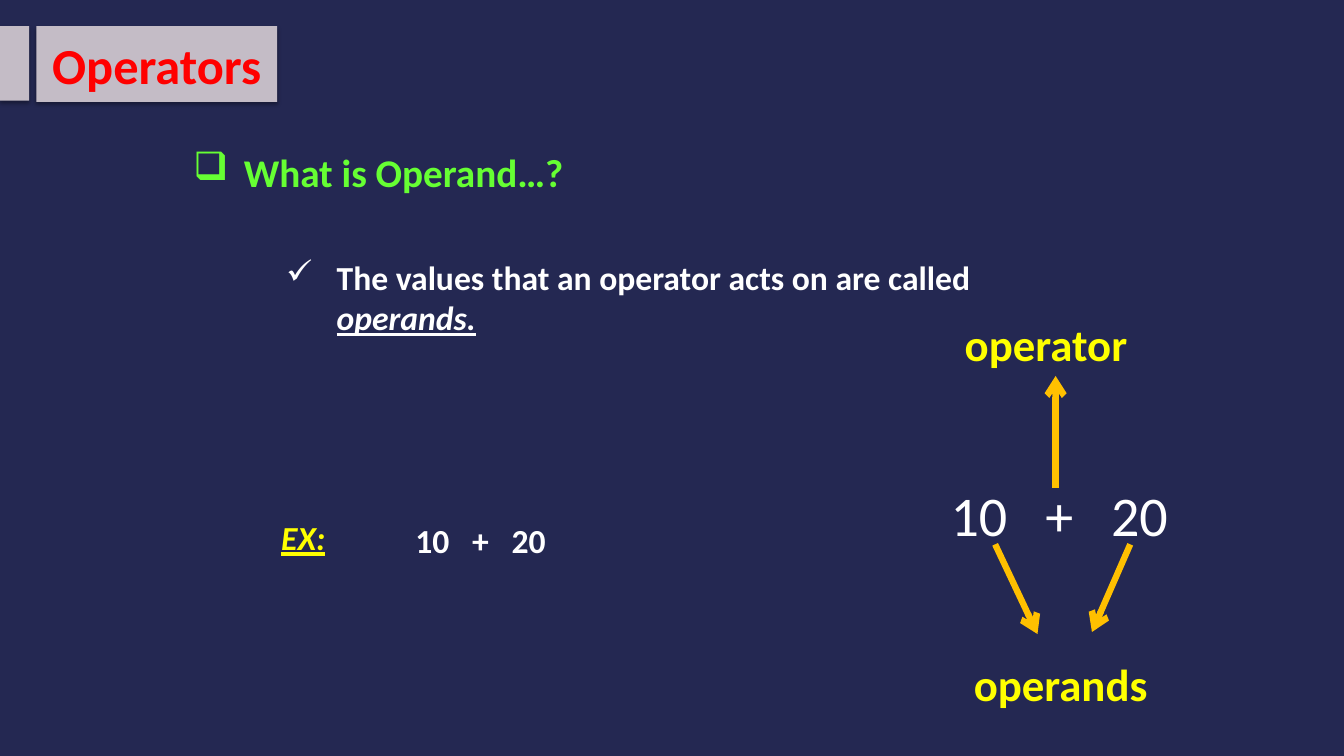
from pptx import Presentation
from pptx.dml.color import RGBColor
from pptx.enum.shapes import MSO_CONNECTOR, MSO_SHAPE
from pptx.enum.text import MSO_ANCHOR, MSO_AUTO_SIZE, PP_ALIGN
from pptx.oxml.ns import qn
from pptx.util import Inches, Pt
from lxml import etree

RECTANGLE = MSO_SHAPE.RECTANGLE
STRAIGHT = MSO_CONNECTOR.STRAIGHT
MIDDLE = MSO_ANCHOR.MIDDLE
CENTER = PP_ALIGN.CENTER
GROW = MSO_AUTO_SIZE.SHAPE_TO_FIT_TEXT
BOTTOM_SIDE = 2

NAVY = RGBColor(0x24, 0x28, 0x52)
MAUVE = RGBColor(0xC4, 0xBC, 0xC6)
RED = RGBColor(0xFF, 0x00, 0x00)
GREEN = RGBColor(0x66, 0xFF, 0x33)
YELLOW = RGBColor(0xFF, 0xFF, 0x00)
AMBER = RGBColor(0xFF, 0xC0, 0x00)
WHITE = RGBColor(0xFF, 0xFF, 0xFF)
BLACK = RGBColor(0x00, 0x00, 0x00)


def style(span, size, color, bold=True, emphasis=False):
    font = span.font
    font.name = "Calibri"
    font.size = Pt(size)
    font.color.rgb = color
    font.bold = bold
    if emphasis:
        font.italic = True
        font.underline = True


def add_panel(page, left, top, width, height):
    """Filled rectangle with a soft shadow below it."""
    panel = page.shapes.add_shape(RECTANGLE, Inches(left), Inches(top),
                                  Inches(width), Inches(height))
    panel.fill.solid()
    panel.fill.fore_color.rgb = MAUVE
    panel.line.fill.background()
    panel.shadow.inherit = False
    effects = panel.element.spPr.find(qn("a:effectLst"))
    shadow = etree.SubElement(effects, qn("a:outerShdw"), blurRad=str(Pt(3.1)),
                              dist=str(Pt(1.8)), dir="5400000", rotWithShape="0")
    color = etree.SubElement(shadow, qn("a:srgbClr"), val=str(BLACK))
    etree.SubElement(color, qn("a:alpha"), val="35000")
    return panel


def add_text(page, text, left, top, width, height, size, color,
             bold=True, emphasis=False, grow=False):
    box = page.shapes.add_textbox(Inches(left), Inches(top),
                                  Inches(width), Inches(height))
    frame = box.text_frame
    frame.text = text
    frame.word_wrap = True
    if grow:
        frame.auto_size = GROW
    style(frame.paragraphs[0].runs[0], size, color, bold, emphasis)
    return box


def add_bullet(box, mark, size):
    """Give the box's paragraph a hanging bullet."""
    para = box.text_frame.paragraphs[0]
    para.space_before = Pt(0.2 * size)
    properties = box.element.find(".//" + qn("a:pPr"))
    properties.set("marL", str(Inches(0.5)))
    properties.set("indent", str(Inches(-0.5)))
    etree.SubElement(properties, qn("a:buChar"), char=mark)


def add_arrow(page, start, end):
    arrow = page.shapes.add_connector(
        STRAIGHT, *(Inches(value) for value in (*start, *end)))
    arrow.line.color.rgb = AMBER
    arrow.line.width = Pt(4.5)
    properties = arrow.element.spPr
    etree.SubElement(properties.find(qn("a:ln")), qn("a:tailEnd"), type="arrow")
    etree.SubElement(properties, qn("a:effectLst"))
    return arrow


def main():
    deck = Presentation()
    deck.slide_width = Inches(13.33)
    deck.slide_height = Inches(7.5)
    page = deck.slides.add_slide(deck.slide_layouts[6])
    page.background.fill.solid()
    page.background.fill.fore_color.rgb = NAVY

    # Title band
    add_panel(page, 0, 0.26, 0.29, 0.74)
    title = add_panel(page, 0.36, 0.26, 2.39, 0.75)
    title.text_frame.text = "Operators"
    title.text_frame.vertical_anchor = MIDDLE
    para = title.text_frame.paragraphs[0]
    para.alignment = CENTER
    style(para.runs[0], 36, RED)

    # Question and definition
    definition = add_text(page, "The values that an operator acts on are called ",
                          2.74, 2.5, 7.58, 1.44, 24, WHITE)
    term = definition.text_frame.paragraphs[0].add_run()
    term.text = "operands."
    style(term, 24, WHITE, emphasis=True)
    add_bullet(definition, "✓", 24)
    question = add_text(page, "What is Operand…?", 1.82, 1.42, 7, 0.75, 28, GREEN)
    add_bullet(question, "❑", 28)

    # Example
    expression = "10   +   20"
    example = add_text(page, "EX:", 2.69, 5.08, 0.85, 0.62, 24, YELLOW, emphasis=True)
    example.text_frame.paragraphs[0].space_before = Pt(4.8)
    add_text(page, expression, 4.02, 5.11, 1.65, 0.5, 24, WHITE, grow=True)

    # Diagram naming the parts of the expression
    add_text(page, expression, 9.33, 4.72, 2.59, 0.77, 40, WHITE, bold=False, grow=True)
    add_text(page, "operands", 9.56, 6.47, 2, 0.64, 32, YELLOW, grow=True)
    operator = add_text(page, "operator", 9.47, 3.09, 2, 0.64, 32, YELLOW, grow=True)
    add_arrow(page, (9.87, 5.4), (10.29, 6.29))
    add_arrow(page, (11.21, 5.4), (10.83, 6.27))
    add_arrow(page, (10.47, 4.84), (10.47, 3.75)).end_connect(operator, BOTTOM_SIDE)

    deck.save("out.pptx")


if __name__ == "__main__":
    main()
